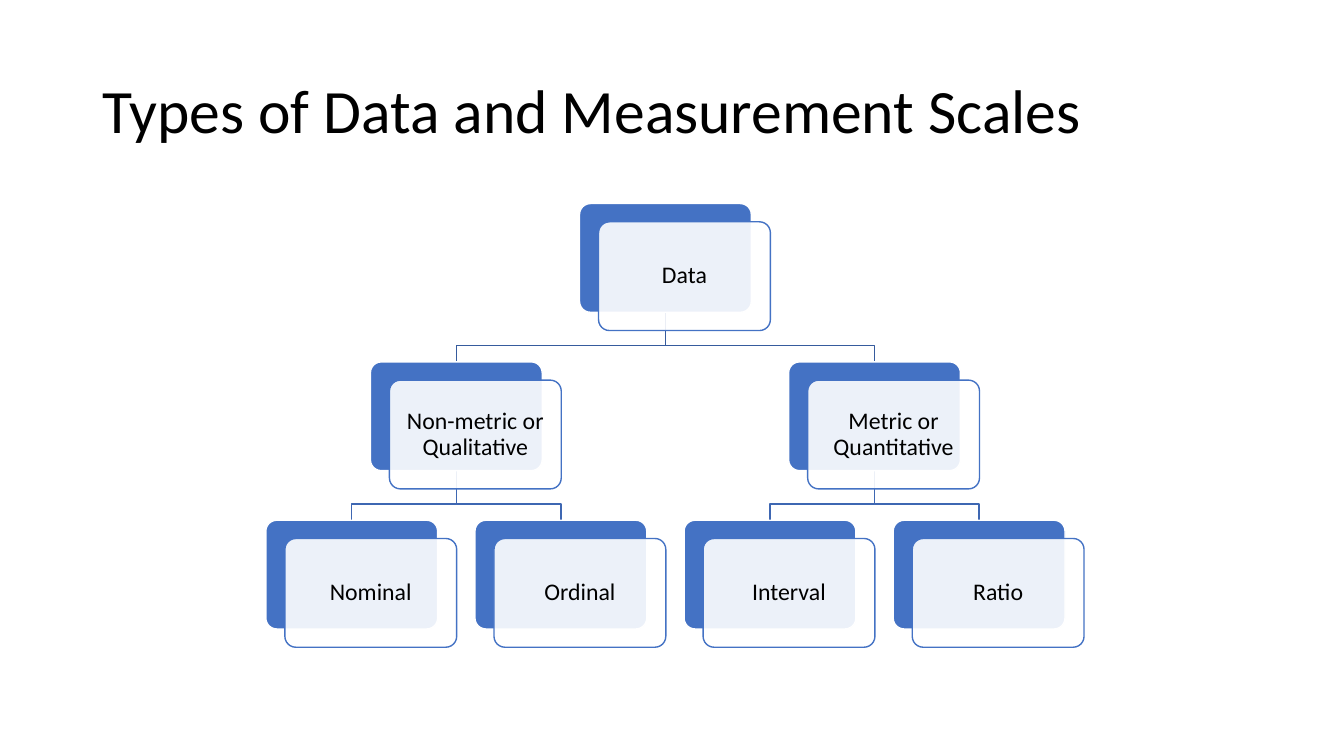
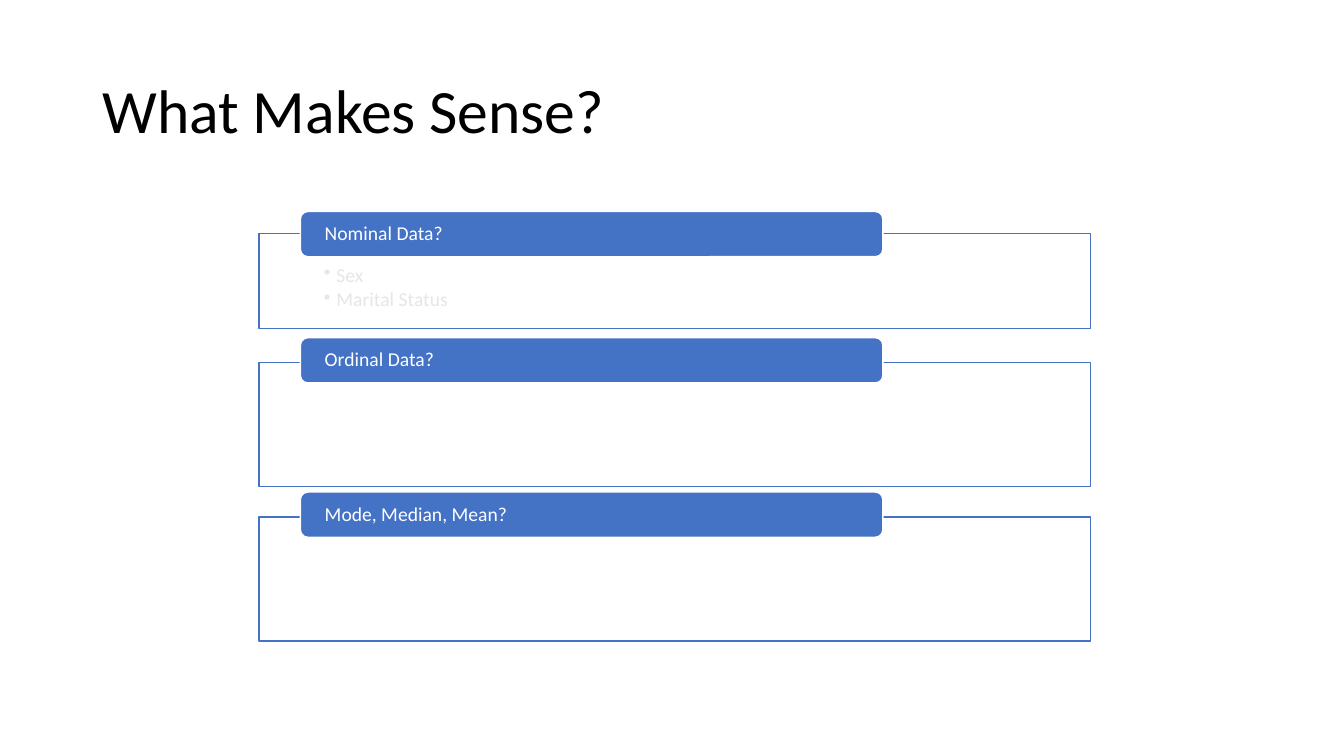
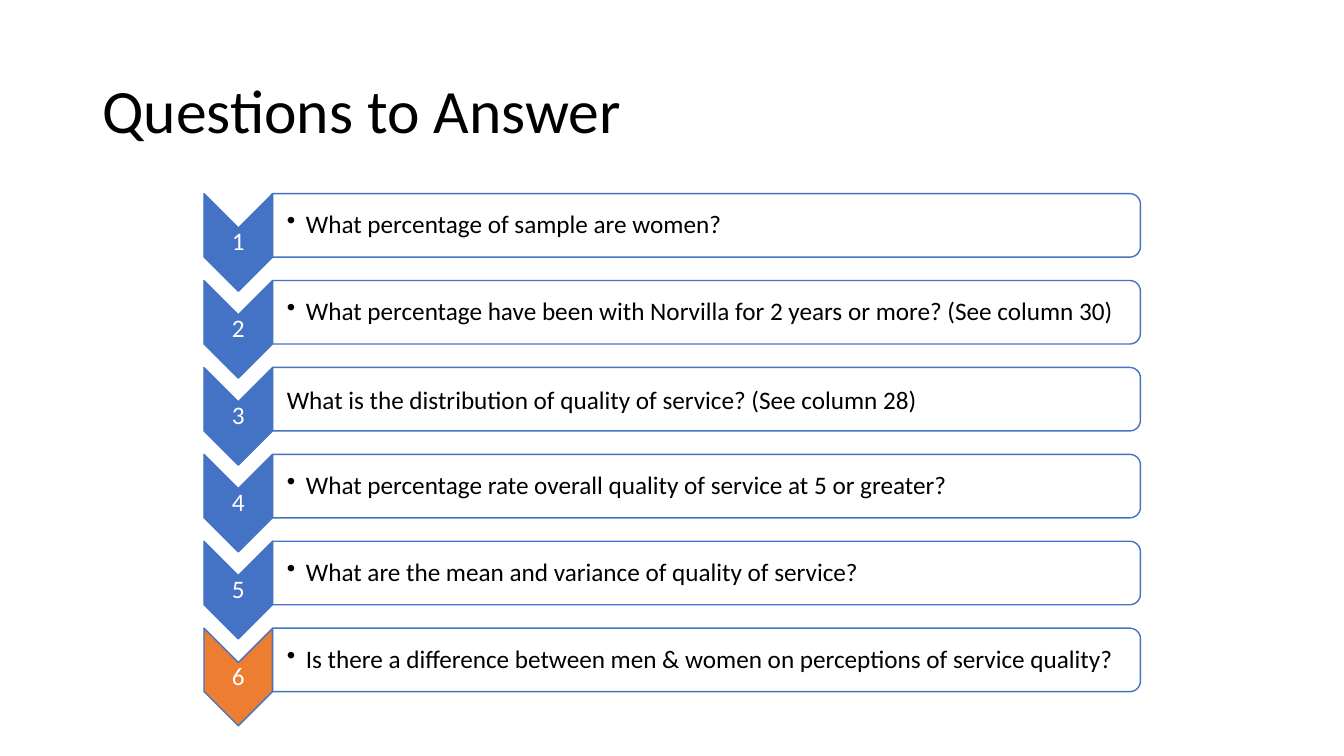
from lxml import etree
from pptx import Presentation
from pptx.dml.color import RGBColor
from pptx.enum.shapes import MSO_SHAPE
from pptx.enum.text import MSO_ANCHOR, MSO_AUTO_SIZE, PP_ALIGN
from pptx.oxml.ns import qn
from pptx.util import Cm, Pt

BLACK = RGBColor(0x00, 0x00, 0x00)
WHITE = RGBColor(0xFF, 0xFF, 0xFF)
BLUE = RGBColor(0x44, 0x72, 0xC4)
ORANGE = RGBColor(0xED, 0x7D, 0x31)
PALE_GREY = RGBColor(0xE7, 0xE6, 0xE6)
ROOT_LINK = RGBColor(0x36, 0x5B, 0x9D)
LEAF_LINK = RGBColor(0x3E, 0x67, 0xB2)


class Deck:
    """Shared style and the slide being built; all lengths are in cm."""

    FONT = "Calibri"
    TITLE_BOX = (2.33, 1.02, 29.21, 3.68)

    def __init__(self):
        self.prs = Presentation()
        self.prs.slide_width, self.prs.slide_height = Cm(33.87), Cm(19.05)
        self.s = None

    def new_slide(self, title):
        self.s = self.prs.slides.add_slide(self.prs.slide_layouts[5])
        sp = self.s.shapes.title
        sp.left, sp.top, sp.width, sp.height = map(Cm, self.TITLE_BOX)
        self.put_text(sp, [title], 44, inset=(0.25, 0.13, 0.25, 0.13))

    def put_text(self, sp, lines, size, color=BLACK, align=PP_ALIGN.LEFT,
                 inset=(0.03, 0.03, 0.03, 0.03), anchor=MSO_ANCHOR.MIDDLE,
                 bullet_indent=None, spacing=0.9):
        tf = sp.text_frame
        tf.word_wrap = True
        tf.auto_size = MSO_AUTO_SIZE.NONE
        tf.vertical_anchor = anchor
        tf.margin_left, tf.margin_top, tf.margin_right, tf.margin_bottom = map(Cm, inset)
        for i, line in enumerate(lines):
            p = tf.add_paragraph() if i else tf.paragraphs[0]
            if bullet_indent:
                pPr = p._p.get_or_add_pPr()
                pPr.set("marL", str(Cm(bullet_indent)))
                pPr.set("indent", str(-Cm(bullet_indent)))
                etree.SubElement(pPr, qn("a:buChar")).set("char", "•")
            p.alignment = align
            p.line_spacing = spacing
            if i:
                p.space_before = Pt(size * 0.15)
            r = p.add_run()
            r.text = line
            r.font.name, r.font.size, r.font.color.rgb = self.FONT, Pt(size), color

    def shape(self, kind, box, fill=BLUE, line=BLUE, adj=None, alpha=None):
        sp = self.s.shapes.add_shape(kind, *map(Cm, box))
        sp.shadow.inherit = False
        sp.fill.solid()
        sp.fill.fore_color.rgb = fill
        sp.line.color.rgb = line
        sp.line.width = Pt(1)
        if adj is not None:
            sp.adjustments[0] = adj
        if alpha:
            clr = sp._element.spPr.find(qn("a:solidFill"))[0]
            etree.SubElement(clr, qn("a:alpha")).set("val", str(alpha * 1000))
        return sp

    def panel(self, kind, box, adj=None):
        """Outlined, nearly opaque white shape."""
        return self.shape(kind, box, fill=WHITE, adj=adj, alpha=90)

    def turned(self, make, kind, box, **style):
        """Shape turned by 90 degrees that covers the given box."""
        x, y, w, h = box
        sp = make(kind, (x + (w - h) / 2, y + (h - w) / 2, h, w), **style)
        sp.rotation = 90

    def textbox(self, box, *args, **style):
        self.put_text(self.s.shapes.add_textbox(*map(Cm, box)), *args, **style)

    def polyline(self, points, color):
        start, *rest = [(Cm(x), Cm(y)) for x, y in points]
        builder = self.s.shapes.build_freeform(*start)
        builder.add_line_segments(rest, close=False)
        sp = builder.convert_to_shape()
        sp.shadow.inherit = False
        sp.fill.background()
        sp.line.color.rgb = color
        sp.line.width = Pt(1)


def data_tree(deck):
    deck.new_slide("Types of Data and Measurement Scales")
    left, top, col_step, row_step = 6.7, 5.13, 5.27, 3.99
    card_w, card_h, shift_x, shift_y = 4.33, 2.74, 0.48, 0.46

    # Column (in leaf widths), row and parent of each node
    nodes = {
        "Data": (1.5, 0, None),
        "Non-metric or Qualitative": (0.5, 1, "Data"),
        "Metric or Quantitative": (2.5, 1, "Data"),
        "Nominal": (0, 2, "Non-metric or Qualitative"),
        "Ordinal": (1, 2, "Non-metric or Qualitative"),
        "Interval": (2, 2, "Metric or Quantitative"),
        "Ratio": (3, 2, "Metric or Quantitative"),
    }
    corner = {name: (left + col * col_step, top + row * row_step)
              for name, (col, row, _) in nodes.items()}

    # Links behind the cards
    for name, (_, row, parent) in nodes.items():
        if parent:
            x1, y1 = corner[parent][0] + card_w / 2, corner[parent][1] + card_h
            x2, y2 = corner[name][0] + card_w / 2, corner[name][1]
            bend = y1 + (y2 - y1) * 0.67
            deck.polyline([(x1, y1), (x1, bend), (x2, bend), (x2, y2)],
                          ROOT_LINK if row == 1 else LEAF_LINK)

    # Cards: a blue back and a shifted front with the name
    for name, (x, y) in corner.items():
        deck.shape(MSO_SHAPE.ROUNDED_RECTANGLE, (x, y, card_w, card_h), line=WHITE, adj=0.1)
        front = deck.panel(MSO_SHAPE.ROUNDED_RECTANGLE,
                           (x + shift_x, y + shift_y, card_w, card_h), adj=0.1)
        deck.put_text(front, [name], 17, align=PP_ALIGN.CENTER, inset=(0.18,) * 4)


def sense_check(deck):
    deck.new_slide("What Makes Sense?")
    # Heading, tab top, frame top, frame height, bullets
    sections = [
        ("Nominal Data?", 5.33, 5.89, 2.39, ["Sex", "Marital Status"]),
        ("Ordinal Data?", 8.51, 9.14, 3.12, []),
        ("Mode, Median, Mean?", 12.4, 13.03, 3.12, []),
    ]
    for heading, tab_top, frame_top, frame_h, bullets in sections:
        frame = deck.panel(MSO_SHAPE.RECTANGLE, (6.53, frame_top, 20.96, frame_h))
        deck.put_text(frame, bullets, 14, PALE_GREY, inset=(1.63, 0.81, 1.63, 0.25),
                      anchor=MSO_ANCHOR.TOP, bullet_indent=0.32)
        tab = deck.shape(MSO_SHAPE.ROUNDED_RECTANGLE, (7.57, tab_top, 14.68, 1.14), line=WHITE)
        deck.put_text(tab, [heading], 14, WHITE, inset=(0.56, 0, 0.56, 0))


def question_list(deck):
    deck.new_slide("Questions to Answer")
    questions = [
        "What percentage of sample are women?",
        "What percentage have been with Norvilla for 2 years or more? (See column 30)",
        "What is the distribution of quality of service? (See column 28)",
        "What percentage rate overall quality of service at 5 or greater?",
        "What are the mean and variance of quality of service?",
        "Is there a difference between men & women on perceptions of service quality?",
    ]
    left, top, step = 5.14, 4.88, 2.19
    chevron_w, chevron_h = 1.73, 2.46
    for i, question in enumerate(questions):
        y = top + i * step
        last, plain = i == len(questions) - 1, i == 2

        # Numbered chevron
        deck.turned(deck.shape, MSO_SHAPE.CHEVRON, (left, y, chevron_w, chevron_h),
                    fill=ORANGE if last else BLUE)
        deck.textbox((left, y + chevron_w / 2, chevron_w, chevron_h - chevron_w),
                     [str(i + 1)], 18, WHITE, align=PP_ALIGN.CENTER)

        # Question bar, the third one without a bullet
        bar = (left + chevron_w, y, 21.87, 1.6)
        deck.turned(deck.panel, MSO_SHAPE.ROUND_2_SAME_RECTANGLE, bar)
        deck.textbox(bar, [question], 18, inset=(0.36, 0.03, 0.03, 0.03),
                     bullet_indent=None if plain else 0.48, spacing=1.0 if plain else 0.9)


def main():
    deck = Deck()
    data_tree(deck)
    sense_check(deck)
    question_list(deck)
    deck.prs.save("out.pptx")


if __name__ == "__main__":
    main()
